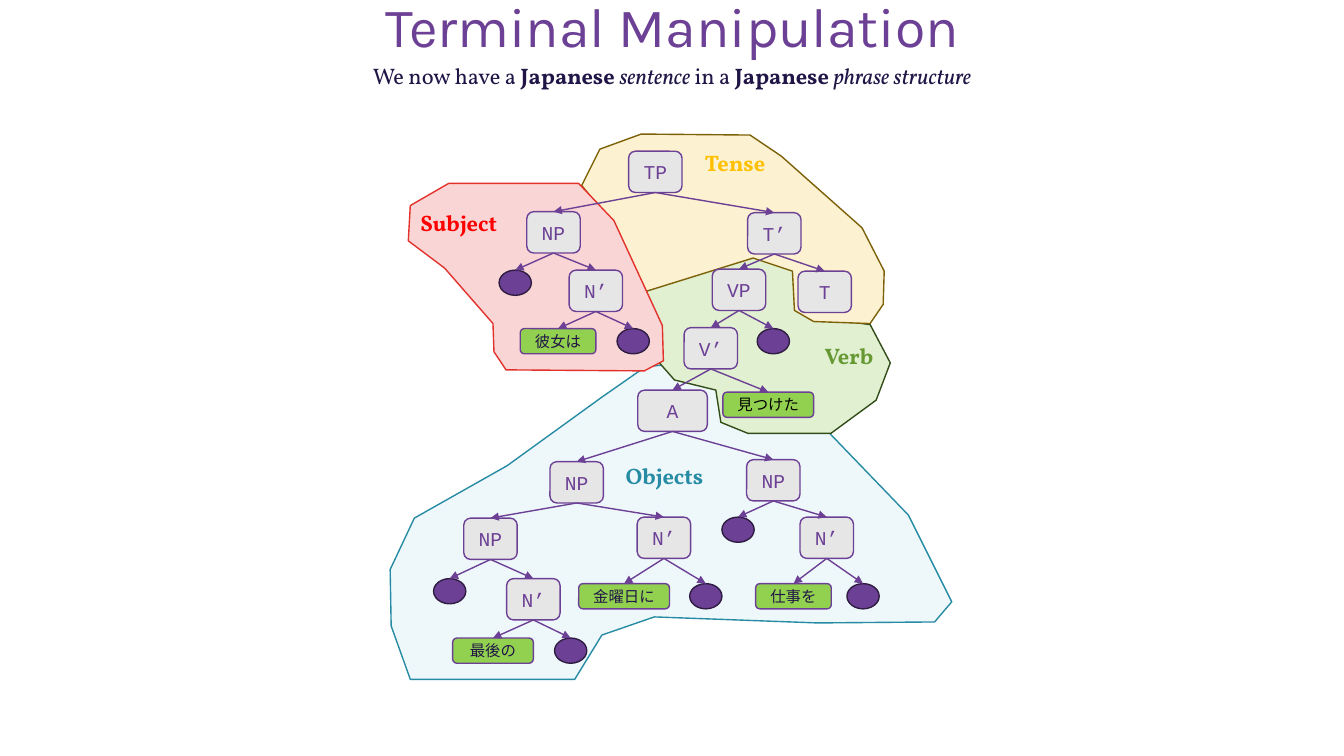
from dataclasses import dataclass

from lxml.etree import SubElement
from pptx import Presentation
from pptx.dml.color import RGBColor
from pptx.enum.shapes import MSO_CONNECTOR, MSO_SHAPE
from pptx.enum.text import MSO_ANCHOR, MSO_AUTO_SIZE, PP_ALIGN
from pptx.oxml.ns import qn
from pptx.util import Inches, Pt


@dataclass(frozen=True)
class Theme:
    purple: str = "6C4095"
    dark_purple: str = "2F1C41"
    ink: str = "201546"
    black: str = "000000"
    grey: str = "E7E6E6"
    green: str = "92D050"
    title_font: str = "Karla"
    body_font: str = "Vollkorn"
    node_font: str = "Courier New"
    word_font: str = "Noto Sans CJK JP"
    title_size: float = 39.6
    body_size: float = 16
    node_size: float = 14
    word_size: float = 11
    line_width: float = 1


THEME = Theme()
TITLE = "Terminal Manipulation"
SUBTITLE = [
    ("We now have a ", {}),
    ("Japanese ", {"bold": True}),
    ("sentence", {"italic": True}),
    (" in a ", {}),
    ("Japanese ", {"bold": True}),
    ("phrase structure", {"italic": True}),
]

# Back to front: fill, outline, corner points
REGIONS = [
    ("EEF8FB", "278BA4", [
        (4.07, 6.74), (5.7, 6.74), (5.97, 6.3), (6.49, 6.12), (8.11, 6.18), (9.27, 6.17),
        (9.44, 5.97), (9.01, 5.11), (8.22, 4.29), (7.46, 4.27), (7.23, 4.17), (7.16, 3.86),
        (6.58, 3.62), (6.4, 3.64), (5.97, 3.94), (5.03, 4.62), (4.11, 5.14), (3.87, 5.65),
        (3.88, 6.21)]),
    ("E0F0D1", "334D19", [
        (7.42, 4.3), (8.24, 4.3), (8.69, 3.97), (8.83, 3.6), (8.63, 3.22), (8.06, 3.15),
        (7.93, 3.03), (7.91, 2.65), (7.46, 2.51), (6.35, 2.87), (6.54, 3.25), (6.54, 3.6),
        (6.69, 3.77), (7.1, 3.87), (7.15, 4.19)]),
    ("FCF2D1", "7D6108", [
        (6.36, 1.33), (7.44, 1.34), (7.75, 1.55), (8.55, 2.26), (8.77, 2.69), (8.76, 3.02),
        (8.63, 3.21), (8.07, 3.19), (7.88, 3.08), (7.86, 2.69), (7.47, 2.56), (6.41, 2.89),
        (6.09, 2.24), (5.77, 1.84), (5.95, 1.48)]),
    ("F9D6D5", "E2322B", [
        (5.02, 3.67), (6.39, 3.68), (6.58, 3.58), (6.57, 3.23), (6.09, 2.19), (5.74, 1.82),
        (4.45, 1.82), (4.07, 2.04), (4.05, 2.39), (4.41, 2.66), (4.89, 3.21), (4.9, 3.49)]),
]
REGION_LABELS = [
    ("Objects", 6.01, 4.54, "278BA4"),
    ("Verb", 7.84, 3.34, "669933"),
    ("Subject", 3.97, 2.03, "FF0000"),
    ("Tense", 6.71, 1.43, "FFC000"),
]

# Each node: label, centre x, top, children; an empty label is an empty terminal
SUBJECT = ("NP", 5.49, 2.1, [
    ("", 5.11, 2.68, []),
    ("N’", 5.91, 2.68, [("彼女は", 5.535, 3.26, []), ("", 6.28, 3.26, [])]),
])
LAST_FRIDAY = ("NP", 5.72, 4.58, [
    ("NP", 4.865, 5.14, [
        ("", 4.46, 5.74, []),
        ("N’", 5.29, 5.74, [("最後の", 4.89, 6.33, []), ("", 5.66, 6.33, [])]),
    ]),
    ("N’", 6.585, 5.13, [("金曜日に", 6.19, 5.79, []), ("", 7, 5.79, [])]),
])
JOB = ("NP", 7.67, 4.56, [
    ("", 7.32, 5.13, []),
    ("N’", 8.2, 5.13, [("仕事を", 7.87, 5.79, []), ("", 8.56, 5.79, [])]),
])
VERB = ("VP", 7.33, 2.67, [
    ("V’", 7.05, 3.25, [
        ("A", 6.67, 3.87, [LAST_FRIDAY, JOB]),
        ("見つけた", 7.62, 3.89, []),
    ]),
    ("", 7.67, 3.26, []),
])
SENTENCE = ("TP", 6.5, 1.5, [
    SUBJECT,
    ("T’", 7.68, 2.11, [VERB, ("T", 8.18, 2.69, [])]),
])

# Word: box width, text colour
WORDS = {
    "見つけた": (0.9, THEME.black),
    "最後の": (0.8, THEME.ink),
    "彼女は": (0.75, THEME.ink),
    "仕事を": (0.75, THEME.ink),
    "金曜日に": (0.9, THEME.ink),
}
NODE_WIDTH, NODE_HEIGHT = 0.53, 0.41
WIDE_NODES = {"A": 0.69}
EMPTY_WIDTH, TERMINAL_HEIGHT = 0.32, 0.25
TOP_SITE, BOTTOM_SITE = 0, 2


def add_span(para, text, *, font, size, color, bold=False, italic=False):
    span = para.add_run()
    span.text = text
    span.font.name = font
    span.font.size = Pt(size)
    span.font.color.rgb = RGBColor.from_string(color)
    span.font.bold = bold
    span.font.italic = italic
    SubElement(span.font._element, qn("a:ea")).set("typeface", font)


def write(shape, spans, *, anchor=MSO_ANCHOR.TOP, wrap=True, spacing=None, **base):
    """Fill a shape with one centred paragraph of (text, format) spans."""
    frame = shape.text_frame
    frame.word_wrap = wrap
    frame.auto_size = MSO_AUTO_SIZE.NONE
    frame.vertical_anchor = anchor
    para = frame.paragraphs[0]
    para.alignment = PP_ALIGN.CENTER
    if spacing:
        para.line_spacing = spacing
    for text, changes in spans:
        add_span(para, text, **{**base, **changes})


def paint(shape, fill, line):
    shape.shadow.inherit = False
    shape.fill.solid()
    shape.fill.fore_color.rgb = RGBColor.from_string(fill)
    shape.line.color.rgb = RGBColor.from_string(line)
    shape.line.width = Pt(THEME.line_width)


def add_region(page, fill, line, points):
    corners = [(Inches(x), Inches(y)) for x, y in points]
    builder = page.shapes.build_freeform(*corners[0])
    builder.add_line_segments(corners[1:], close=True)
    paint(builder.convert_to_shape(), fill, line)


def add_text_box(page, spans, left, top, width, height, **style):
    box = page.shapes.add_textbox(*map(Inches, (left, top, width, height)))
    write(box, spans, font=THEME.body_font, size=THEME.body_size, **style)


def add_node(page, label, center, top):
    kind, fill, line, style = MSO_SHAPE.ROUNDED_RECTANGLE, THEME.grey, THEME.purple, None
    if label in WORDS:
        width, color = WORDS[label]
        height, fill = TERMINAL_HEIGHT, THEME.green
        style = {"font": THEME.word_font, "size": THEME.word_size, "color": color}
    elif label:
        width, height = WIDE_NODES.get(label, NODE_WIDTH), NODE_HEIGHT
        style = {"font": THEME.node_font, "size": THEME.node_size, "color": THEME.purple}
    else:
        width, height = EMPTY_WIDTH, TERMINAL_HEIGHT
        kind, fill, line = MSO_SHAPE.OVAL, THEME.purple, THEME.dark_purple
    node = page.shapes.add_shape(
        kind, *map(Inches, (center - width / 2, top, width, height)))
    paint(node, fill, line)
    if style:
        write(node, [(label, {})], anchor=MSO_ANCHOR.MIDDLE, wrap=False, **style)
    return node


def add_arrow(page, parent, child):
    arrow = page.shapes.add_connector(MSO_CONNECTOR.STRAIGHT, 0, 0, 0, 0)
    arrow.begin_connect(parent, BOTTOM_SITE if parent.text_frame.text else TOP_SITE)
    arrow.end_connect(child, TOP_SITE)
    arrow.line.color.rgb = RGBColor.from_string(THEME.purple)
    arrow.line.width = Pt(THEME.line_width)
    SubElement(arrow.line._get_or_add_ln(), qn("a:tailEnd")).set("type", "triangle")
    SubElement(arrow._element.spPr, qn("a:effectLst"))


def add_tree(page, tree):
    """Draw a node and all below it, and return the node."""
    label, center, top, children = tree
    node = add_node(page, label, center, top)
    for child in children:
        add_arrow(page, node, add_tree(page, child))
    return node


def main():
    deck = Presentation()
    deck.slide_width, deck.slide_height = Inches(13.33), Inches(7.5)
    page = deck.slides.add_slide(deck.slide_layouts[5])
    for region in REGIONS:
        add_region(page, *region)
    for text, left, top, color in REGION_LABELS:
        add_text_box(page, [(text, {})], left, top, 1.16, 0.39, color=color, bold=True)
    title = page.shapes.title
    title.left, title.top, title.width, title.height = map(Inches, (0.92, 0.04, 11.5, 0.51))
    write(title, [(TITLE, {})], anchor=MSO_ANCHOR.MIDDLE, spacing=0.9,
          font=THEME.title_font, size=THEME.title_size, color=THEME.purple)
    add_text_box(page, SUBTITLE, 0.74, 0.57, 11.85, 0.37, color=THEME.ink)
    add_tree(page, SENTENCE)
    deck.save("out.pptx")


if __name__ == "__main__":
    main()
